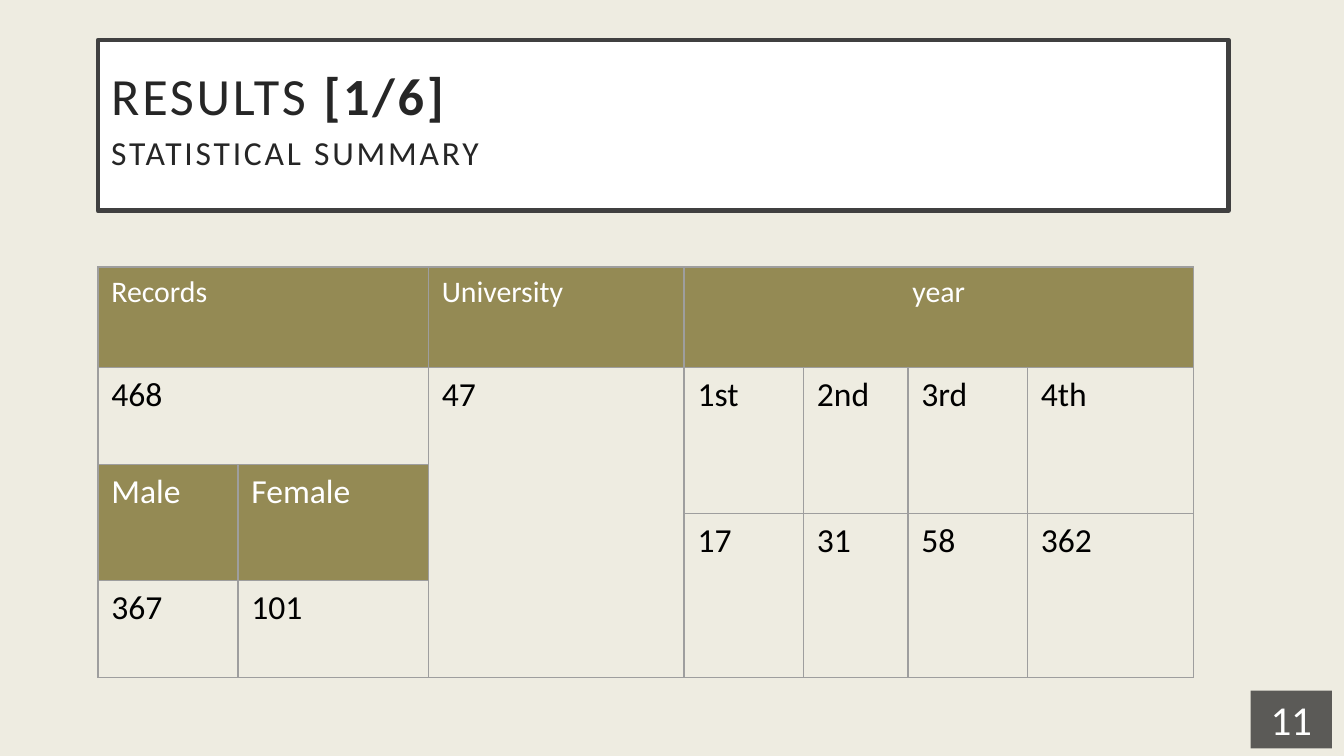
from typing import NamedTuple

from lxml.etree import SubElement as Sub
from pptx import Presentation
from pptx.dml.color import RGBColor
from pptx.enum.shapes import MSO_SHAPE as Shape
from pptx.enum.text import MSO_ANCHOR as Anchor, PP_ALIGN as Align
from pptx.oxml.ns import qn
from pptx.util import Pt

FACE = "Calibri"
OLIVE, WHITE, BLACK, GREY = "948A54", "FFFFFF", "000000", "9E9E9E"
INK, FRAME, DARK, CREAM = "262626", "404040", "1D1D1D", "EEECE1"
COLS = [75, 102, 137, 64, 56, 64, 89]
ROWS = [54, 52, 26, 36, 52]


class Cell(NamedTuple):
    text: str
    row: int
    col: int
    high: int = 1
    wide: int = 1
    head: bool = False
    size: float = 18
    align: Align = Align.LEFT


CELLS = [
    Cell("Records", 0, 0, wide=2, head=True, size=16),
    Cell("University", 0, 2, head=True, size=16),
    Cell("year", 0, 3, wide=4, head=True, size=16, align=Align.CENTER),
    Cell("468", 1, 0, wide=2),
    Cell("47", 1, 2, high=4),
    Cell("Male", 2, 0, high=2, head=True),
    Cell("Female", 2, 1, high=2, head=True),
    Cell("367", 4, 0),
    Cell("101", 4, 1),
]
YEARS = [("1st", "17"), ("2nd", "31"), ("3rd", "58"), ("4th", "362")]
CELLS += [
    Cell(text, row, col, high=2)
    for col, pair in enumerate(YEARS, 3)
    for row, text in zip((1, 3), pair)
]


def paint(color, code: str) -> None:
    color.rgb = RGBColor.from_string(code)


def style(run, size: float, code: str, bold: bool = False) -> None:
    run.font.name = FACE
    run.font.size = Pt(size)
    run.font.bold = bold
    paint(run.font.color, code)


def add_box(slide, left: float, top: float, width: float, height: float, code: str):
    box = slide.shapes.add_shape(
        Shape.RECTANGLE, Pt(left), Pt(top), Pt(width), Pt(height)
    )
    box.shadow.inherit = False
    box.fill.solid()
    paint(box.fill.fore_color, code)
    frame = box.text_frame
    frame.word_wrap = True
    frame.margin_left = frame.margin_right = Pt(7.2)
    frame.margin_top = frame.margin_bottom = Pt(7.2)
    return box


def add_title(slide) -> None:
    box = add_box(slide, 52.5, 21.5, 605.5, 91.5, WHITE)
    paint(box.line.color, FRAME)
    box.line.width = Pt(2.5)
    frame = box.text_frame
    frame.vertical_anchor = Anchor.TOP
    frame.text = "RESULTS \nSTATISTICAL SUMMARY"
    first, second = frame.paragraphs
    first.add_run().text = "[1/6]"
    for para, size in ((first, 28), (second, 18)):
        para.alignment = Align.LEFT
        para.line_spacing = 1.15
        for run in para.runs:
            style(run, size, INK, run.text == "[1/6]")
            run.font._element.set("spc", "150")


def add_edges(cell) -> None:
    props = cell._tc.get_or_add_tcPr()
    for side in ("lnL", "lnR", "lnT", "lnB"):
        edge = Sub(props, qn(f"a:{side}"), w=str(Pt(0.75)))
        fill = Sub(edge, qn("a:solidFill"))
        Sub(fill, qn("a:srgbClr"), val=GREY)


def add_grid(slide) -> None:
    grid = slide.shapes.add_table(
        len(ROWS), len(COLS), Pt(52.5), Pt(143), Pt(sum(COLS)), Pt(sum(ROWS))
    ).table
    grid.first_row = grid.horz_banding = False
    for col, width in zip(grid.columns, COLS):
        col.width = Pt(width)
    for row, height in zip(grid.rows, ROWS):
        row.height = Pt(height)
    for cell in grid.iter_cells():
        add_edges(cell)
        cell.fill.background()
    for item in CELLS:
        cell = grid.cell(item.row, item.col)
        if item.high * item.wide > 1:
            cell.merge(
                grid.cell(item.row + item.high - 1, item.col + item.wide - 1)
            )
        if item.head:
            cell.fill.solid()
            paint(cell.fill.fore_color, OLIVE)
        cell.text_frame.text = item.text
        para = cell.text_frame.paragraphs[0]
        para.alignment = item.align
        style(para.runs[0], item.size, WHITE if item.head else BLACK)


def add_page(slide) -> None:
    box = add_box(slide, 670, 370, 43.5, 31, DARK)
    box.line.fill.background()
    tint = box._element.spPr.find(f"{qn('a:solidFill')}/{qn('a:srgbClr')}")
    Sub(tint, qn("a:alpha"), val="70000")
    frame = box.text_frame
    frame.vertical_anchor = Anchor.MIDDLE
    frame.text = "11"
    para = frame.paragraphs[0]
    para.alignment = Align.CENTER
    style(para.runs[0], 22, WHITE)


def main() -> None:
    deck = Presentation()
    deck.slide_width, deck.slide_height = Pt(720), Pt(405)
    slide = deck.slides.add_slide(deck.slide_layouts[6])
    slide.background.fill.solid()
    paint(slide.background.fill.fore_color, CREAM)
    add_title(slide)
    add_grid(slide)
    add_page(slide)
    deck.save("out.pptx")


if __name__ == "__main__":
    main()
